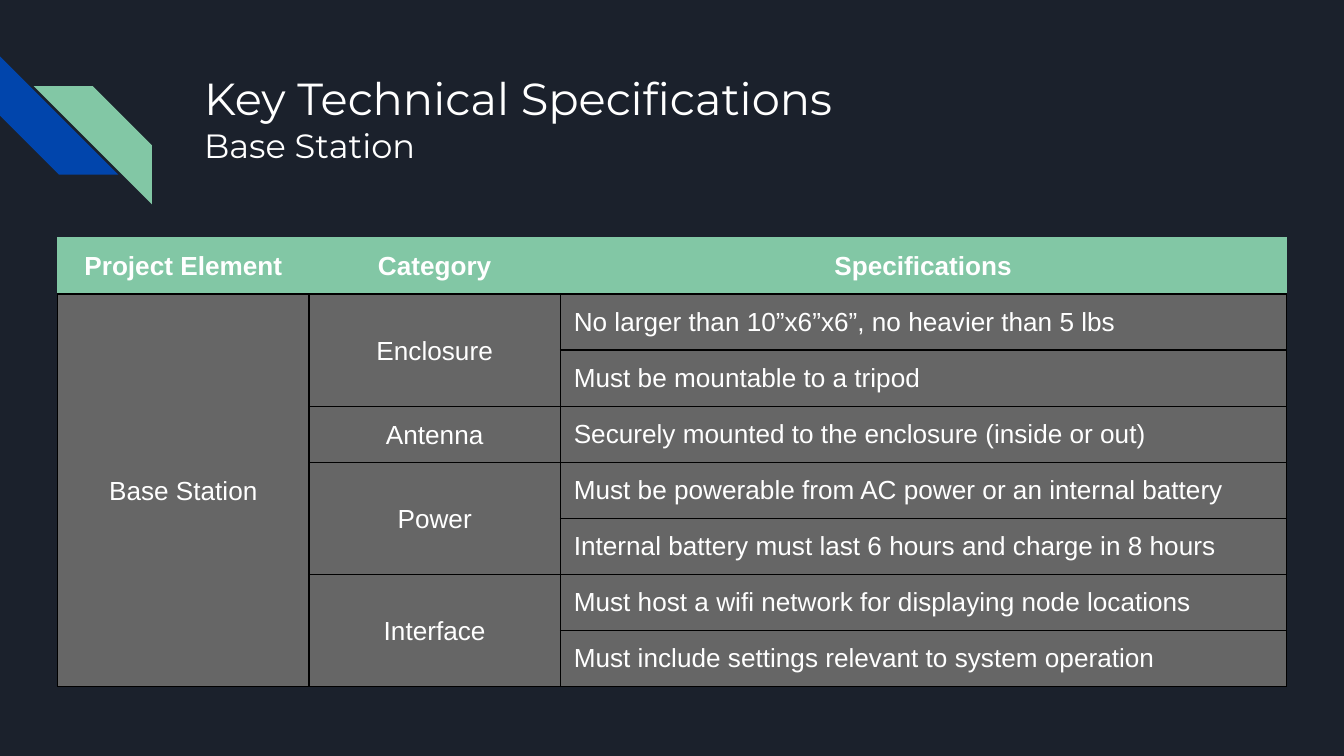
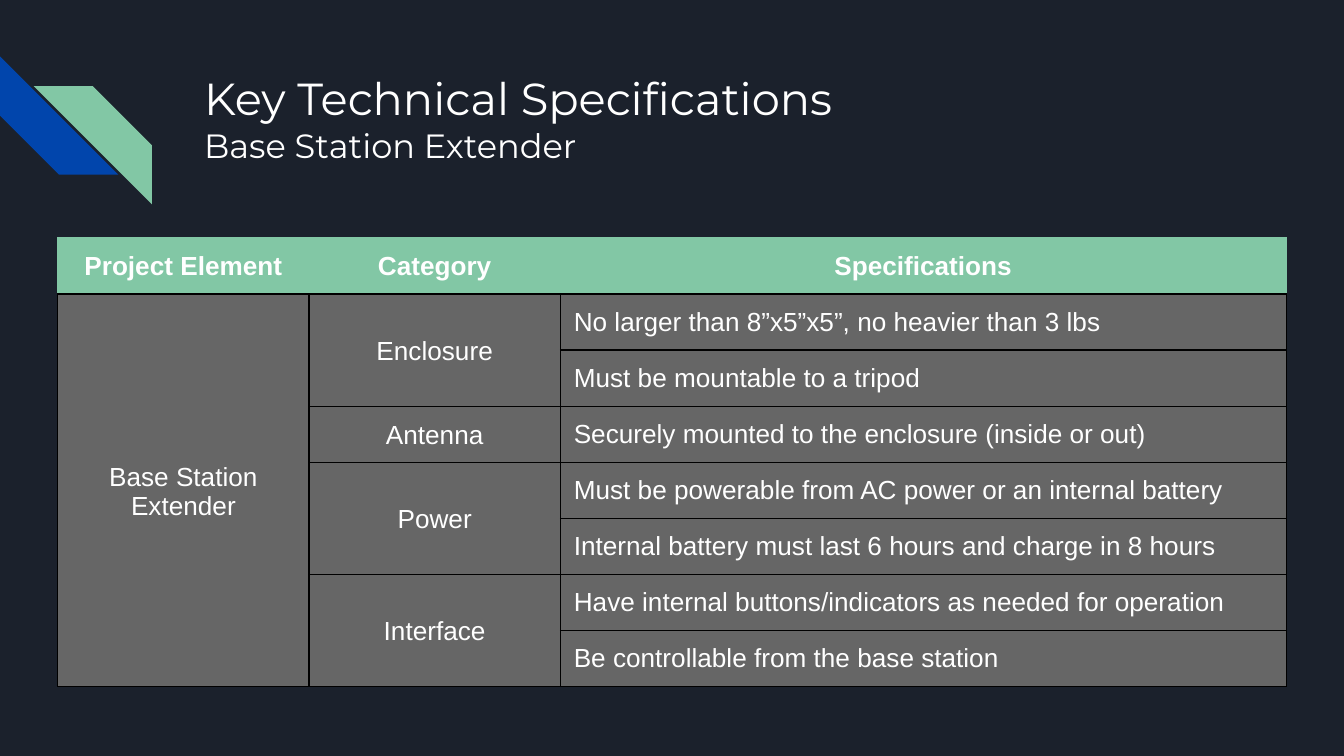
from lxml import etree
from pptx import Presentation
from pptx.dml.color import RGBColor
from pptx.enum.shapes import MSO_SHAPE
from pptx.enum.text import MSO_ANCHOR, PP_ALIGN
from pptx.oxml.ns import qn
from pptx.util import Inches, Pt

STRIPE = MSO_SHAPE.DIAGONAL_STRIPE
TOP, MIDDLE = MSO_ANCHOR.TOP, MSO_ANCHOR.MIDDLE
LEFT, CENTER = PP_ALIGN.LEFT, PP_ALIGN.CENTER

NAVY, BLUE, GREEN = "1B212C", "0145AC", "82C7A5"
GRAY, WHITE, BLACK = "666666", "FFFFFF", "000000"
TITLE_FONT, TABLE_FONT = "Montserrat", "Arial"
INSET = Inches(0.1)

# Table layout shared by both slides
HEADERS = ["Project Element", "Category", "Specifications"]
COLUMN_WIDTHS = [1.87, 1.87, 5.4]
ROW_HEIGHT = 3.34 / 8
CATEGORIES = {"Enclosure": 2, "Antenna": 1, "Power": 2, "Interface": 2}
SHARED_SPECIFICATIONS = [
    "Must be mountable to a tripod",
    "Securely mounted to the enclosure (inside or out)",
    "Must be powerable from AC power or an internal battery",
    "Internal battery must last 6 hours and charge in 8 hours",
]

# Element name, size limit, interface requirements
ELEMENTS = [
    ("Base Station", "No larger than 10”x6”x6”, no heavier than 5 lbs",
     ["Must host a wifi network for displaying node locations",
      "Must include settings relevant to system operation"]),
    ("Base Station Extender", "No larger than 8”x5”x5”, no heavier than 3 lbs",
     ["Have internal buttons/indicators as needed for operation",
      "Be controllable from the base station"]),
]


def set_text(paragraph, text, font_name, size, bold=False, alignment=LEFT):
    paragraph.text = text
    paragraph.alignment = alignment
    paragraph.font.name = font_name
    paragraph.font.size = Pt(size)
    paragraph.font.bold = bold
    paragraph.font.color.rgb = RGBColor.from_string(WHITE)


def style_cell(cell, fill, edge):
    # Borders come before the fill in the cell properties
    properties = cell._tc.get_or_add_tcPr()
    for side, color in (("L", edge), ("R", edge), ("T", edge), ("B", BLACK)):
        line = etree.SubElement(properties, qn("a:ln" + side), w=str(Pt(0.75)))
        solid = etree.SubElement(line, qn("a:solidFill"))
        etree.SubElement(solid, qn("a:srgbClr"), val=color)
    cell.fill.solid()
    cell.fill.fore_color.rgb = RGBColor.from_string(fill)
    cell.margin_left = cell.margin_right = cell.margin_top = INSET
    cell.margin_bottom = Inches(0.08)


presentation = Presentation()
presentation.slide_width = Inches(10)
presentation.slide_height = Inches(10 * 9 / 16)

for element, size_limit, interface in ELEMENTS:
    slide = presentation.slides.add_slide(presentation.slide_layouts[6])
    slide.background.fill.solid()
    slide.background.fill.fore_color.rgb = RGBColor.from_string(NAVY)

    # Corner stripes
    for left, top, rotation, color in ((0, 0.42, 270, BLUE), (0.25, 0.64, 90, GREEN)):
        stripe = slide.shapes.add_shape(
            STRIPE, Inches(left), Inches(top), Inches(0.88), Inches(0.88))
        stripe.rotation = rotation
        stripe.shadow.inherit = False
        stripe.fill.solid()
        stripe.fill.fore_color.rgb = RGBColor.from_string(color)
        stripe.line.fill.background()

    # Title and subtitle
    title = slide.shapes.add_textbox(Inches(1.42), Inches(0.43), Inches(7.7), Inches(1))
    frame = title.text_frame
    frame.word_wrap = True
    frame.vertical_anchor = TOP
    frame.margin_left = frame.margin_right = INSET
    frame.margin_top = frame.margin_bottom = INSET
    set_text(frame.paragraphs[0], "Key Technical Specifications", TITLE_FONT, 24)
    set_text(frame.add_paragraph(), element, TITLE_FONT, 18)

    # Specification table
    specifications = [size_limit, *SHARED_SPECIFICATIONS, *interface]
    row_count = len(specifications) + 1
    table = slide.shapes.add_table(
        row_count, len(HEADERS), Inches(0.43), Inches(1.77),
        Inches(sum(COLUMN_WIDTHS)), Inches(ROW_HEIGHT * row_count)).table
    table.first_row = False
    table.horz_banding = False
    for column, width in zip(table.columns, COLUMN_WIDTHS):
        column.width = Inches(width)
    for row_index, row in enumerate(table.rows):
        row.height = Inches(ROW_HEIGHT)
        for cell in row.cells:
            if row_index == 0:
                style_cell(cell, GREEN, GREEN)
            else:
                style_cell(cell, GRAY, BLACK)

    for column_index, header in enumerate(HEADERS):
        set_text(table.cell(0, column_index).text_frame.paragraphs[0],
                 header, TABLE_FONT, 14, True, CENTER)
    for row_index, specification in enumerate(specifications, start=1):
        set_text(table.cell(row_index, 2).text_frame.paragraphs[0],
                 specification, TABLE_FONT, 14)

    # Merged labels: first row, column, row span, text
    labels = [(1, 0, len(specifications), element)]
    first_row = 1
    for category, span in CATEGORIES.items():
        labels.append((first_row, 1, span, category))
        first_row += span
    for first_row, column_index, span, label in labels:
        cell = table.cell(first_row, column_index)
        if span > 1:
            cell.merge(table.cell(first_row + span - 1, column_index))
        cell.vertical_anchor = MIDDLE
        set_text(cell.text_frame.paragraphs[0], label, TABLE_FONT, 14, False, CENTER)

presentation.save("out.pptx")
